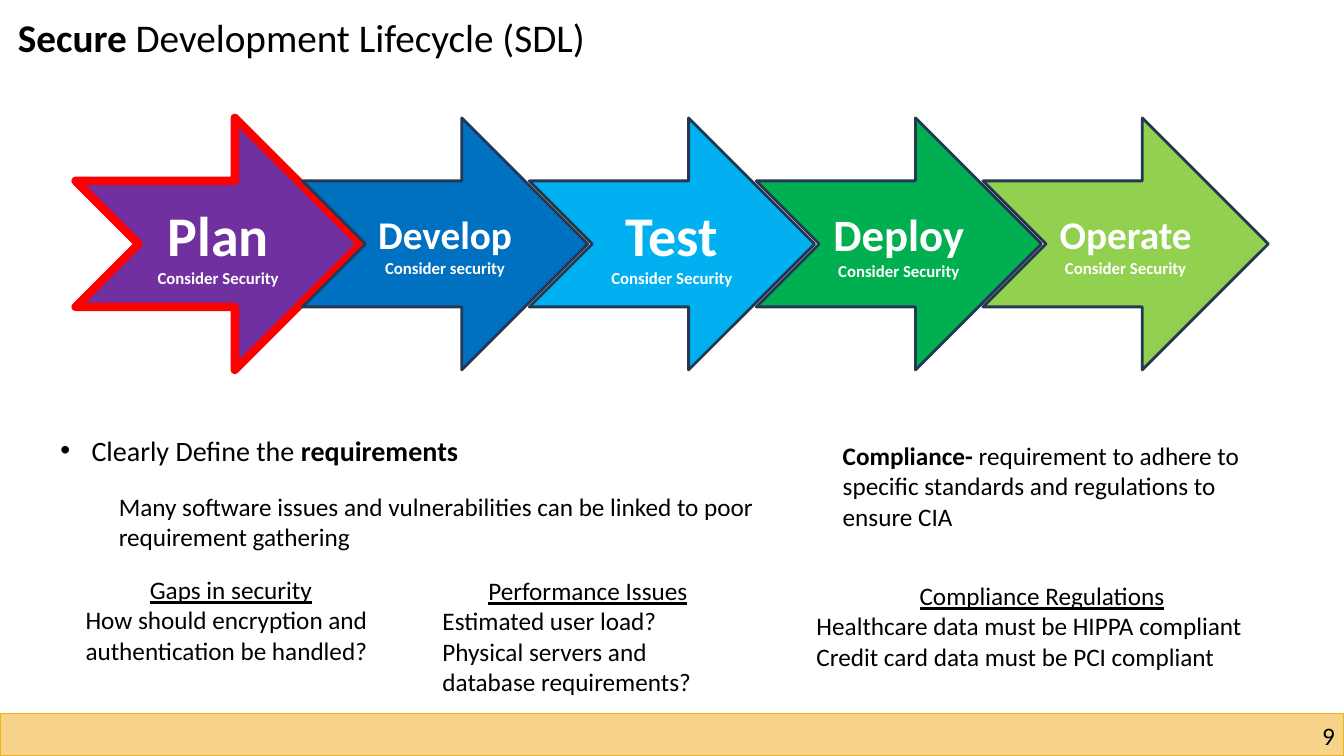
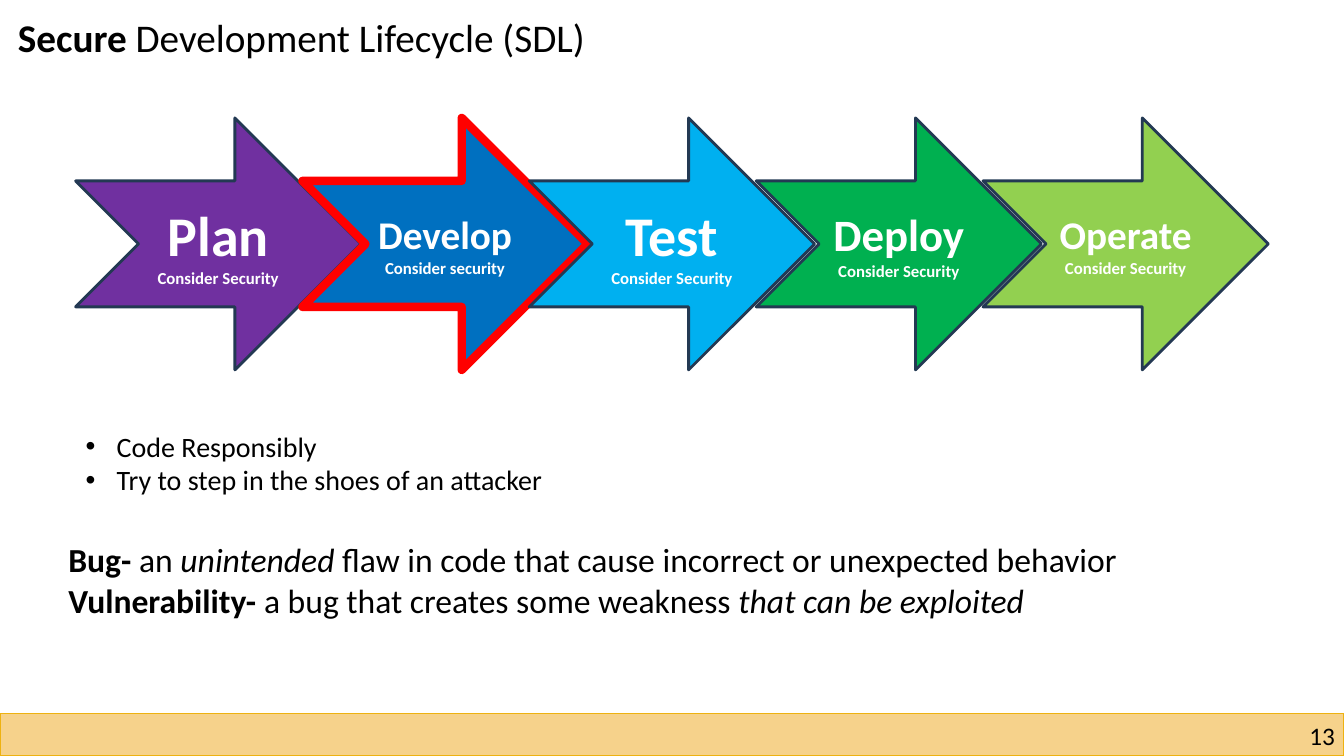
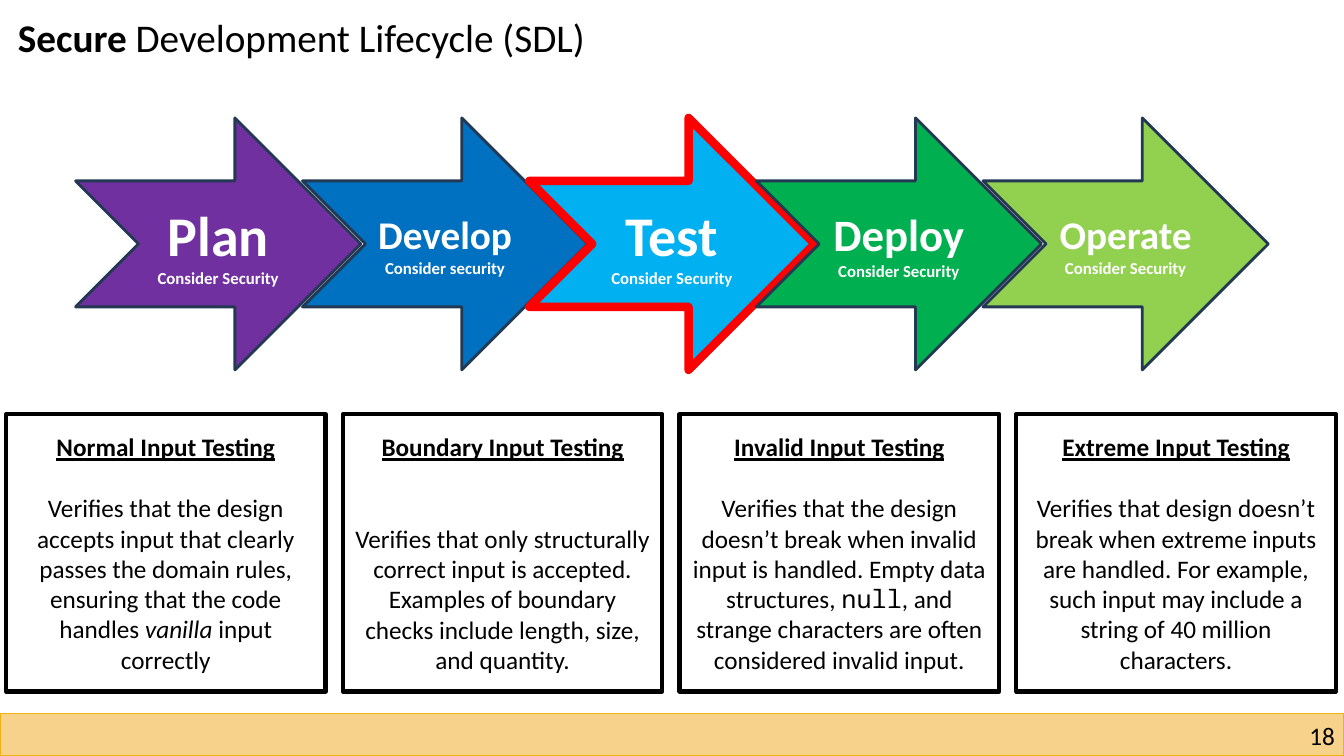
from lxml import etree
from pptx import Presentation
from pptx.dml.color import RGBColor
from pptx.enum.shapes import MSO_SHAPE
from pptx.enum.text import MSO_ANCHOR, PP_ALIGN
from pptx.oxml.ns import qn
from pptx.util import Inches, Pt

RECTANGLE = MSO_SHAPE.RECTANGLE
NOTCHED_ARROW = MSO_SHAPE.NOTCHED_RIGHT_ARROW
LEFT, CENTER, RIGHT = PP_ALIGN.LEFT, PP_ALIGN.CENTER, PP_ALIGN.RIGHT
TOP, MIDDLE = MSO_ANCHOR.TOP, MSO_ANCHOR.MIDDLE

BLACK = RGBColor(0x00, 0x00, 0x00)
WHITE = RGBColor(0xFF, 0xFF, 0xFF)
BAND_FILL = RGBColor(0xF6, 0xD2, 0x8B)
BAND_LINE = RGBColor(0xEE, 0xB2, 0x11)
ARROW_LINE = RGBColor(0x23, 0x39, 0x53)
HIGHLIGHT = RGBColor(0xFF, 0x00, 0x00)
PURPLE = RGBColor(0x70, 0x30, 0xA0)
BLUE = RGBColor(0x00, 0x70, 0xC0)
SKY = RGBColor(0x00, 0xB0, 0xF0)
GREEN = RGBColor(0x00, 0xB0, 0x50)
LIME = RGBColor(0x92, 0xD0, 0x50)

FONT = "Calibri"
CODE_FONT = "Noto Sans Mono"
BODY_SIZE = 18
BODY_LINE = 22  # height of one body line in points
BULLET_INDENT = Inches(0.31)

# Phase name, name size, caption, fill
PHASES = [
    ("Plan", 40, "Consider Security", PURPLE),
    ("Develop", 28, "Consider security", BLUE),
    ("Test", 40, "Consider Security", SKY),
    ("Deploy", 32, "Consider Security", GREEN),
    ("Operate", 28, "Consider Security", LIME),
]

# Heading, blank lines below it, runs of the description
INPUT_TESTS = [
    ("Normal Input Testing", 1, [
        "Verifies that the design accepts input that clearly passes the domain "
        "rules, ensuring that the code handles ",
        ("vanilla", "i"), " input correctly"]),
    ("Boundary Input Testing", 2, [
        "Verifies that only structurally correct input is accepted. Examples of "
        "boundary checks include length, size, and quantity."]),
    ("Invalid Input Testing", 1, [
        "Verifies that the design doesn’t break when invalid input is handled. "
        "Empty data structures, ",
        ("null", "m"),
        ", and strange characters are often considered invalid input."]),
    ("Extreme Input Testing", 1, [
        "Verifies that design doesn’t break when extreme inputs are handled. For "
        "example, such input may include a string of 40 million characters."]),
]


def add_bullet(paragraph):
    properties = paragraph._p.get_or_add_pPr()
    properties.set("marL", str(BULLET_INDENT))
    properties.set("indent", str(-BULLET_INDENT))
    etree.SubElement(properties, qn("a:buFont"), typeface="Arial")
    etree.SubElement(properties, qn("a:buChar"), char="•")


def add_paragraph(frame, runs, size=BODY_SIZE, color=BLACK, align=LEFT,
                  bullet=False, gap_before=0):
    """Runs are plain strings or (text, style); style letters: b, i, u, m (mono)."""
    paragraph = frame.paragraphs[0]
    if paragraph.runs:
        paragraph = frame.add_paragraph()
    paragraph.alignment = align
    if gap_before:
        paragraph.space_before = Pt(gap_before)
    if bullet:
        add_bullet(paragraph)
    for item in runs:
        text, style = (item, "") if isinstance(item, str) else item
        run = paragraph.add_run()
        run.text = text
        run.font.size = Pt(size)
        run.font.name = CODE_FONT if "m" in style else FONT
        run.font.color.rgb = color
        run.font.bold = "b" in style
        run.font.italic = "i" in style
        run.font.underline = "u" in style


def add_text_box(slide, left, top, width, height):
    box = slide.shapes.add_textbox(Inches(left), Inches(top), Inches(width), Inches(height))
    frame = box.text_frame
    frame.word_wrap = True
    frame.vertical_anchor = TOP
    return frame


def add_panel(slide, kind, left, top, width, height, fill, line, line_width):
    shape = slide.shapes.add_shape(
        kind, Inches(left), Inches(top), Inches(width), Inches(height))
    shape.shadow.inherit = False
    shape.fill.solid()
    shape.fill.fore_color.rgb = fill
    shape.line.color.rgb = line
    shape.line.width = Pt(line_width)
    frame = shape.text_frame
    frame.word_wrap = True
    frame.vertical_anchor = MIDDLE
    return frame


def add_topic(slide, left, top, width, heading, lines):
    """Underlined centred heading over plain lines."""
    frame = add_text_box(slide, left, top, width, 1.31)
    add_paragraph(frame, [(heading, "u")], align=CENTER)
    for line in lines:
        add_paragraph(frame, [line])


def add_phase_arrows(slide, current_phase):
    for index, (name, size, caption, fill) in enumerate(PHASES):
        line, line_width = (HIGHLIGHT, 6) if name == current_phase else (ARROW_LINE, 2)
        frame = add_panel(slide, NOTCHED_ARROW, 0.75 + 2.25 * index, 1.17, 2.83, 2.5,
                          fill, line, line_width)
        add_paragraph(frame, [(name, "b")], size, WHITE, CENTER)
        add_paragraph(frame, [(caption, "b")], 12, WHITE, CENTER)


def add_lifecycle_slide(presentation, number, current_phase):
    """Slide with the shared band, page number, title and phase arrows."""
    slide = presentation.slides.add_slide(presentation.slide_layouts[6])
    add_panel(slide, RECTANGLE, 0, 7.08, 13.33, 0.42, BAND_FILL, BAND_LINE, 1)

    number_frame = add_text_box(slide, 10.17, 7.15, 3.07, 0.3)
    number_frame.margin_left = number_frame.margin_right = 0
    number_frame.margin_top = number_frame.margin_bottom = 0
    add_paragraph(number_frame, [str(number)], align=RIGHT)

    title_frame = add_text_box(slide, 0.08, 0.08, 6.72, 0.57)
    add_paragraph(title_frame, [("Secure", "b"), " Development Lifecycle (SDL)"], 28)

    add_phase_arrows(slide, current_phase)
    return slide


def build_plan_slide(presentation):
    slide = add_lifecycle_slide(presentation, 9, "Plan")

    # Requirements
    frame = add_text_box(slide, 0.5, 4.25, 4.6, 0.44)
    add_paragraph(frame, ["Clearly Define the ", ("requirements", "b")], 20, bullet=True)
    frame = add_text_box(slide, 1.08, 4.82, 6.83, 0.71)
    add_paragraph(frame, ["Many software issues and vulnerabilities can be linked to "
                          "poor requirement gathering"])
    add_topic(slide, 0.75, 5.65, 3.08, "Gaps in security",
              ["How should encryption and authentication be handled?"])
    add_topic(slide, 4.29, 5.66, 3.08, "Performance Issues",
              ["Estimated user load?", "Physical servers and database requirements?"])

    # Compliance
    add_topic(slide, 8, 5.71, 4.67, "Compliance Regulations",
              ["Healthcare data must be HIPPA compliant",
               "Credit card data must be PCI compliant"])
    frame = add_text_box(slide, 8.26, 4.32, 4.6, 1.01)
    add_paragraph(frame, [("Compliance-", "b"), " requirement to adhere to specific "
                          "standards and regulations to ensure CIA"])


def build_develop_slide(presentation):
    slide = add_lifecycle_slide(presentation, 13, "Develop")

    # Advice
    frame = add_text_box(slide, 0.75, 4.21, 5.2, 0.77)
    for advice in ("Code Responsibly", "Try to step in the shoes of an attacker"):
        add_paragraph(frame, [advice], 20, bullet=True)

    # Definitions
    frame = add_text_box(slide, 0.58, 5.3, 11.72, 0.91)
    add_paragraph(frame, [("Bug-", "b"), " an ", ("unintended", "i"),
                          " flaw in code that cause incorrect or unexpected behavior"], 24)
    add_paragraph(frame, [("Vulnerability-", "b"), " a bug that creates some weakness ",
                          ("that can be exploited", "i")], 24)


def build_test_slide(presentation):
    slide = add_lifecycle_slide(presentation, 18, "Test")
    for index, (heading, blank_lines, description) in enumerate(INPUT_TESTS):
        frame = add_panel(slide, RECTANGLE, 0.06 + 3.34 * index, 4.11, 3.17, 2.75,
                          WHITE, BLACK, 3)
        add_paragraph(frame, [(heading, "bu")], align=CENTER)
        add_paragraph(frame, description, align=CENTER, gap_before=blank_lines * BODY_LINE)


def main():
    presentation = Presentation()
    presentation.slide_width = Inches(13.33)
    presentation.slide_height = Inches(7.5)
    build_plan_slide(presentation)
    build_develop_slide(presentation)
    build_test_slide(presentation)
    presentation.save("out.pptx")


if __name__ == "__main__":
    main()
